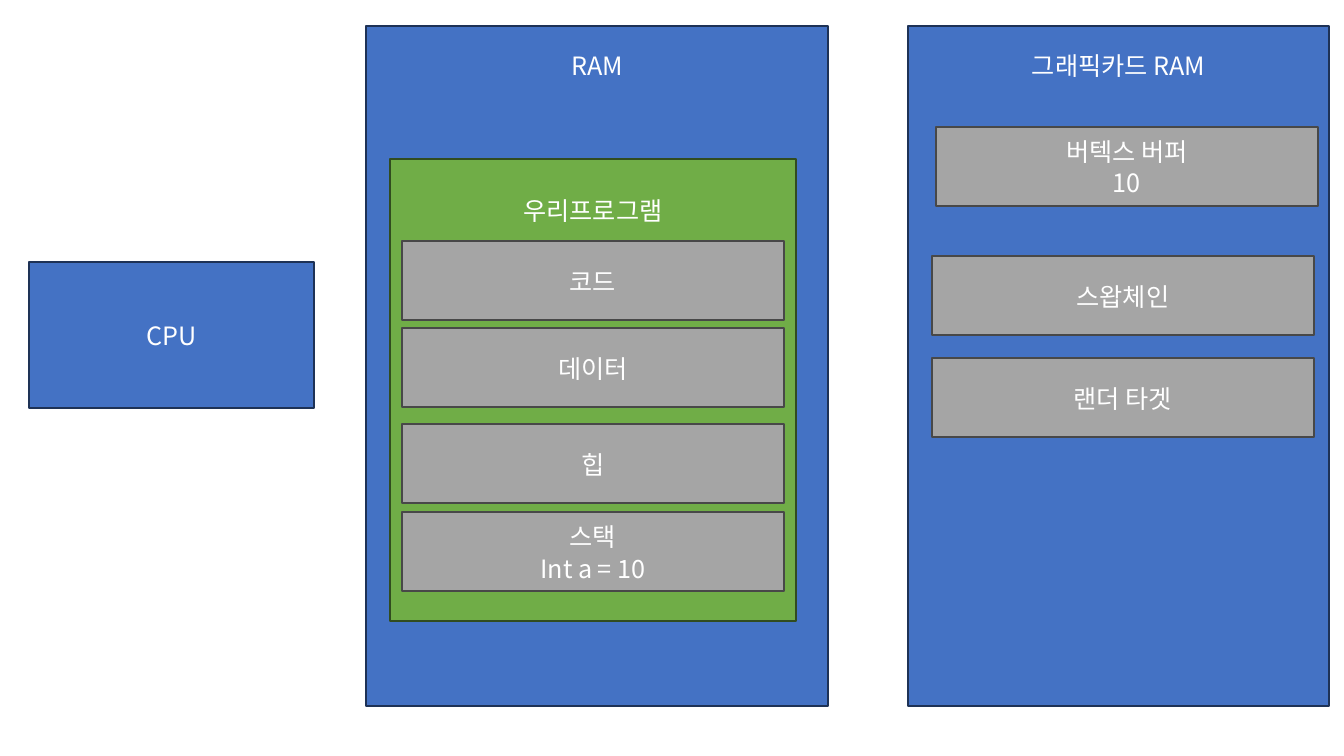
"""Builds a slide showing the CPU, program memory and graphics card memory."""
from pptx import Presentation
from pptx.dml.color import RGBColor
from pptx.enum.shapes import MSO_SHAPE
from pptx.enum.text import MSO_ANCHOR, PP_ALIGN
from pptx.oxml.ns import qn
from pptx.util import Emu, Pt

RECTANGLE = MSO_SHAPE.RECTANGLE
TOP, MIDDLE = MSO_ANCHOR.TOP, MSO_ANCHOR.MIDDLE
CENTER = PP_ALIGN.CENTER

FONT = "Noto Sans CJK KR"
WHITE = "FFFFFF"
BLUE = ("4472C4", "1E3256")
GREEN = ("70AD47", "314C1F")
GRAY = ("A5A5A5", "484848")
SLIDE_SIZE = (1344, 756)
SEGMENT_SIZE = (382, 79)

CPU = ("CPU", (29, 262, 285, 146), BLUE)
CONTAINERS = [
    ("RAM", (366, 26, 462, 680), BLUE, 23),
    ("우리프로그램", (390, 159, 406, 462), GREEN, 35),
    ("그래픽카드 RAM", (908, 26, 421, 680), BLUE, 23),
]
SEGMENTS = [
    ("코드", 402, 241),
    ("데이터", 402, 328),
    ("힙", 402, 424),
    ("스택\nInt a = 10", 402, 512),
    ("버텍스 버퍼\n10", 936, 127),
    ("스왑체인", 932, 256),
    ("랜더 타겟", 932, 358),
]


def px(length):
    return Emu(round(length * 914400 / 100.8))


def color(value):
    return RGBColor.from_string(value)


def add_box(slide, text, bounds, colors, top_inset=None):
    box = slide.shapes.add_shape(RECTANGLE, *map(px, bounds))
    box.shadow.inherit = False
    fill, line = colors
    box.fill.solid()
    box.fill.fore_color.rgb = color(fill)
    box.line.color.rgb = color(line)
    box.line.width = Pt(1)
    frame = box.text_frame
    frame.word_wrap = True
    frame.vertical_anchor = MIDDLE
    if top_inset is not None:
        frame.vertical_anchor = TOP
        frame.margin_top = px(top_inset)
    frame.text = text
    for para in frame.paragraphs:
        para.alignment = CENTER
        para.line_spacing = Pt(22.5)
        for span in para.runs:
            span.font.name = FONT
            span.font.size = Pt(18)
            span.font.color.rgb = color(WHITE)
            east_asian = span.font._element.makeelement(qn("a:ea"), {"typeface": FONT})
            span.font._element.find(qn("a:latin")).addnext(east_asian)


def main():
    deck = Presentation()
    deck.slide_width, deck.slide_height = map(px, SLIDE_SIZE)
    slide = deck.slides.add_slide(deck.slide_layouts[6])
    add_box(slide, *CPU)
    for container in CONTAINERS:
        add_box(slide, *container)
    for text, left, top in SEGMENTS:
        add_box(slide, text, (left, top, *SEGMENT_SIZE), GRAY)
    deck.save("out.pptx")


if __name__ == "__main__":
    main()
